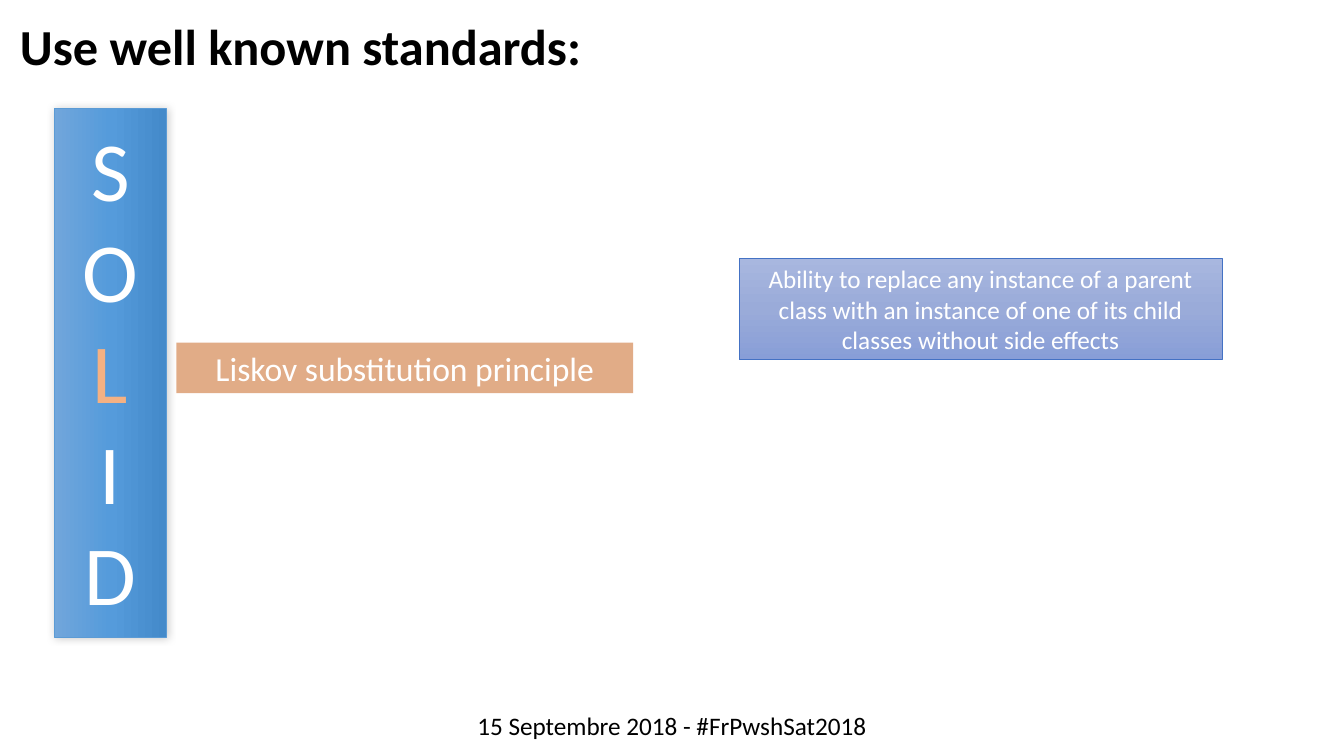
from lxml import etree
from pptx import Presentation
from pptx.dml.color import RGBColor
from pptx.enum.shapes import MSO_SHAPE
from pptx.enum.text import MSO_ANCHOR, PP_ALIGN
from pptx.oxml.ns import qn
from pptx.util import Inches, Pt

RECTANGLE = MSO_SHAPE.RECTANGLE
TOP, MIDDLE = MSO_ANCHOR.TOP, MSO_ANCHOR.MIDDLE
LEFT, CENTER = PP_ALIGN.LEFT, PP_ALIGN.CENTER

BLACK = RGBColor(0x00, 0x00, 0x00)
WHITE = RGBColor(0xFF, 0xFF, 0xFF)
PEACH = RGBColor(0xF4, 0xB1, 0x83)
RUST = RGBColor(0xC5, 0x5A, 0x11)
BLUE_LINE = RGBColor(0x5B, 0x9B, 0xD5)
BLUE_STOPS = [RGBColor(0x71, 0xA6, 0xDB), RGBColor(0x55, 0x9B, 0xDB), RGBColor(0x44, 0x8A, 0xCA)]
INDIGO_LINE = RGBColor(0x44, 0x72, 0xC4)
INDIGO_STOPS = [RGBColor(0xA8, 0xB7, 0xDF), RGBColor(0x9A, 0xAB, 0xD9), RGBColor(0x88, 0x9E, 0xD7)]

FONT = "Calibri"
PAGE_WIDTH, PAGE_HEIGHT = 13.33, 7.5
ACRONYM, CURRENT_LETTER = "SOLID", "L"


def add_child(parent, tag, **attributes):
    return etree.SubElement(parent, qn(tag), {key: str(value) for key, value in attributes.items()})


def write_line(para, text, align, **font_format):
    para.alignment = align
    span = para.add_run()
    span.text = text
    color = font_format.pop("color")
    for name, value in {"name": FONT, **font_format}.items():
        setattr(span.font, name, value)
    span.font.color.rgb = color


def add_label(page, box, text, size, color=BLACK, align=CENTER, bold=False):
    label = page.shapes.add_textbox(*map(Inches, box))
    label.text_frame.word_wrap = True
    write_line(label.text_frame.paragraphs[0], text, align, size=Pt(size), color=color, bold=bold)


def add_panel(page, box, anchor):
    panel = page.shapes.add_shape(RECTANGLE, *map(Inches, box))
    panel.shadow.inherit = False
    panel.text_frame.word_wrap = True
    panel.text_frame.vertical_anchor = anchor
    return panel


def paint_gradient(panel, colors, angle, line_color):
    """Spread the colors evenly; the angle runs counter-clockwise from left to right."""
    panel.fill.gradient()
    panel.fill.gradient_angle = angle
    stops = panel.element.spPr.find(qn("a:gradFill")).find(qn("a:gsLst"))
    for stop in list(stops):
        stops.remove(stop)
    for index, color in enumerate(colors):
        stop = add_child(stops, "a:gs", pos=index * 100000 // (len(colors) - 1))
        add_child(stop, "a:srgbClr", val=color)
    panel.line.color.rgb = line_color
    panel.line.width = Pt(0.5)


def add_soft_shadow(panel):
    effects = panel.element.spPr.find(qn("a:effectLst"))
    shadow = add_child(effects, "a:outerShdw", blurRad=Pt(6), dist=0, dir=315 * 60000, rotWithShape=0)
    color = add_child(shadow, "a:srgbClr", val=BLACK)
    add_child(color, "a:alpha", val=20000)


def add_acronym_banner(page, box):
    banner = add_panel(page, box, TOP)
    paint_gradient(banner, BLUE_STOPS, 0, BLUE_LINE)
    add_soft_shadow(banner)
    frame = banner.text_frame
    frame.margin_top = Inches(0.1)
    for index, letter in enumerate(ACRONYM):
        para = frame.add_paragraph() if index else frame.paragraphs[0]
        para.line_spacing = Pt(72)
        color = PEACH if letter == CURRENT_LETTER else WHITE
        write_line(para, letter, CENTER, size=Pt(60), color=color)


def add_principle_bar(page, box, text):
    bar = add_panel(page, box, MIDDLE)
    bar.fill.solid()
    bar.fill.fore_color.rgb = RUST
    color = bar.element.spPr.find(qn("a:solidFill")).find(qn("a:srgbClr"))
    add_child(color, "a:alpha", val=50000)
    bar.line.fill.background()
    write_line(bar.text_frame.paragraphs[0], text, CENTER, size=Pt(24), color=WHITE)


def add_definition_card(page, box, text):
    card = add_panel(page, box, MIDDLE)
    paint_gradient(card, INDIGO_STOPS, 270, INDIGO_LINE)
    write_line(card.text_frame.paragraphs[0], text, CENTER, size=Pt(18), color=WHITE)


def main():
    deck = Presentation()
    deck.slide_width, deck.slide_height = Inches(PAGE_WIDTH), Inches(PAGE_HEIGHT)
    page = deck.slides.add_slide(deck.slide_layouts[6])
    add_label(page, (0, 7, PAGE_WIDTH, 0.5), "15 Septembre 2018 - #FrPwshSat2018", 18)
    add_label(page, (0.1, 0.1, 11.36, 0.71), "Use well known standards:", 36, align=LEFT, bold=True)
    add_acronym_banner(page, (0.54, 1.07, 1.11, 5.25))
    add_principle_bar(page, (1.75, 3.4, 4.53, 0.5), "Liskov substitution principle")
    add_definition_card(
        page, (7.33, 2.56, 4.79, 1.01),
        "Ability to replace any instance of a parent class with an instance of "
        "one of its child classes without side effects")
    deck.save("out.pptx")


if __name__ == "__main__":
    main()
